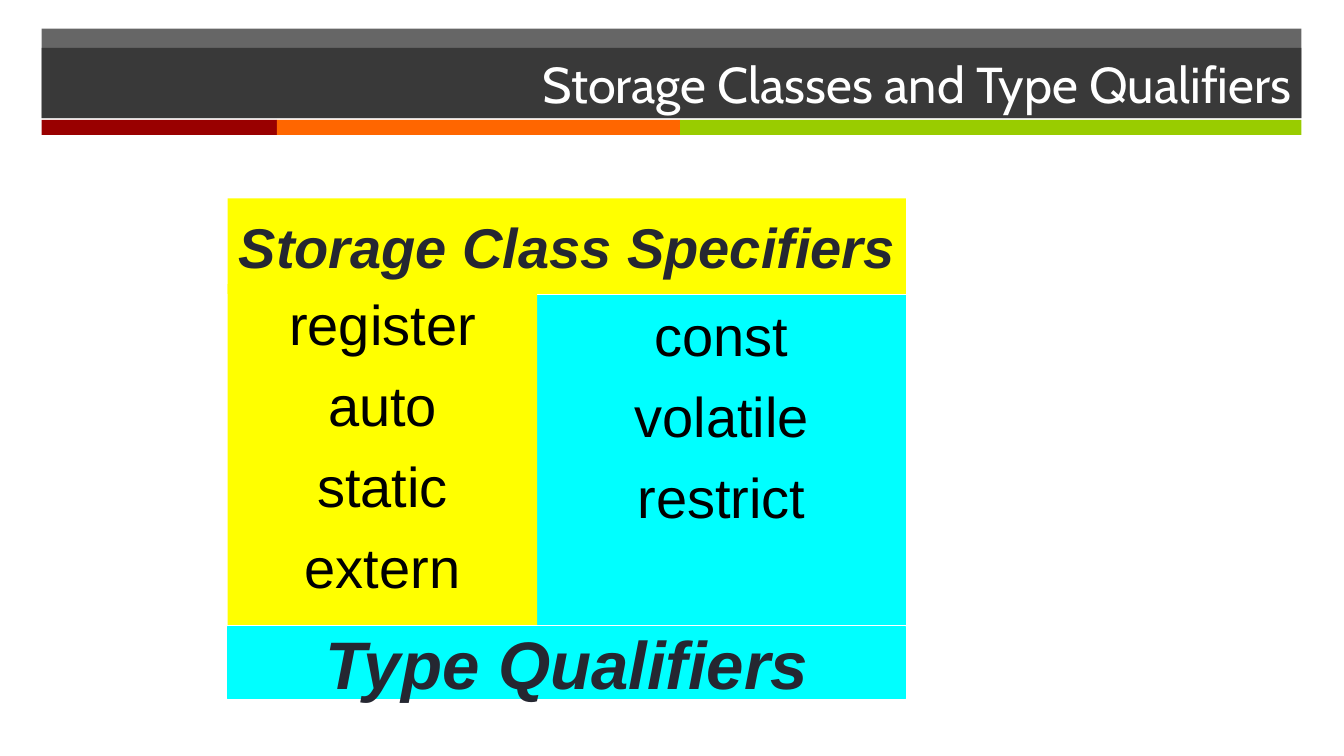
import dataclasses

import lxml.etree
import pptx
import pptx.dml.color
import pptx.enum.shapes
import pptx.enum.text
import pptx.oxml.ns
import pptx.util

Cm = pptx.util.Cm
Pt = pptx.util.Pt
Align = pptx.enum.text.PP_ALIGN
Anchor = pptx.enum.text.MSO_ANCHOR


@dataclasses.dataclass(frozen=True)
class Theme:
    """Colours, fonts and type sizes of the slide."""
    band: str = "262626"
    stripes: tuple = ("990000", "FF6600", "99CC00")
    storage: str = "FFFF00"
    qualifier: str = "00FFFF"
    qualifier_edge: str = "00FEFF"
    heading_ink: str = "252731"
    keyword_ink: str = "000000"
    title_ink: str = "FFFFFF"
    title_font: str = "Cabin"
    body_font: str = "Arial"
    title_size: int = 36
    body_size: int = 40
    large_size: int = 48


class SlideBuilder:
    """Draws blocks and text on one slide in a given theme."""

    def __init__(self, slide, theme):
        self.slide = slide
        self.theme = theme

    def block(self, left, top, width, height, fill, edge=None, opacity=100):
        """Add a filled rectangle measured in centimetres."""
        block = self.slide.shapes.add_shape(
            pptx.enum.shapes.MSO_SHAPE.RECTANGLE,
            Cm(left), Cm(top), Cm(width), Cm(height))
        block.shadow.inherit = False
        block.fill.solid()
        block.fill.fore_color.rgb = pptx.dml.color.RGBColor.from_string(fill)
        if edge:
            block.line.color.rgb = pptx.dml.color.RGBColor.from_string(edge)
            block.line.width = Pt(0.75)
        else:
            block.line.fill.background()
        if opacity < 100:
            qn = pptx.oxml.ns.qn
            colour = block.element.spPr.find(qn("a:solidFill"))[0]
            alpha = lxml.etree.SubElement(colour, qn("a:alpha"))
            alpha.set("val", str(opacity * 1000))
        return block

    def label(self, block, lines, ink, align=Align.CENTER,
              anchor=Anchor.MIDDLE, wrap=False, before=0, **font):
        """Put one paragraph per line into a block."""
        frame = block.text_frame
        frame.text = "\n".join(lines)
        frame.word_wrap = wrap
        frame.vertical_anchor = anchor
        for paragraph in frame.paragraphs:
            paragraph.alignment = align
            paragraph.space_before = Pt(before)
            for name, value in font.items():
                setattr(paragraph.runs[0].font, name, value)
            paragraph.runs[0].font.color.rgb = (
                pptx.dml.color.RGBColor.from_string(ink))

    def heading(self, block, text, size):
        """Put a bold italic heading into a block."""
        self.label(block, [text], self.theme.heading_ink, size=Pt(size),
                   name=self.theme.body_font, bold=True, italic=True)

    def keywords(self, block, words):
        """Stack a column of keywords from the top down."""
        self.label(block, words, self.theme.keyword_ink, anchor=Anchor.TOP,
                   wrap=True, before=10, size=Pt(self.theme.body_size),
                   name=self.theme.body_font)

    def header(self, title):
        """Draw the title band with its coloured stripes."""
        theme = self.theme
        left, width = 1.05, 31.75
        self.block(left, 0.72, width, 2.26, theme.band, opacity=70)
        stripe_left = left
        for fill, stripe_width in zip(theme.stripes, (5.93, 10.16, 15.66)):
            self.block(stripe_left, 3.02, stripe_width, 0.38, fill)
            stripe_left += stripe_width
        band = self.block(left, 1.21, width, 1.77, theme.band, opacity=70)
        self.label(band, [title], theme.title_ink, align=Align.RIGHT,
                   wrap=True, size=Pt(theme.title_size), name=theme.title_font)


def main():
    """Build and save the slide."""
    deck = pptx.Presentation()
    for name, value in {"slide_width": Cm(33.87), "slide_height": Cm(19.05)}.items():
        setattr(deck, name, value)
    theme = Theme()
    builder = SlideBuilder(deck.slides.add_slide(deck.slide_layouts[6]), theme)
    builder.header("Storage Classes and Type Qualifiers")

    left, middle, right, bottom = 5.74, 13.54, 22.83, 15.75
    cyan = {"fill": theme.qualifier, "edge": theme.qualifier_edge}
    qualifiers = builder.block(middle, 7.44, right - middle, bottom - 7.44, **cyan)
    builder.keywords(qualifiers, ["const", "volatile", "restrict"])
    qualifier_heading = builder.block(left, 15.8, right - left, 1.8, **cyan)
    builder.heading(qualifier_heading, "Type Qualifiers", theme.large_size)

    storage_heading = builder.block(left, 5, right - left, 2.41, theme.storage)
    builder.heading(storage_heading, "Storage Class Specifiers", theme.body_size)
    specifiers = builder.block(left, 7.16, middle - left, bottom - 7.16, theme.storage)
    builder.keywords(specifiers, ["register", "auto", "static", "extern"])

    deck.save("out.pptx")


if __name__ == "__main__":
    main()
